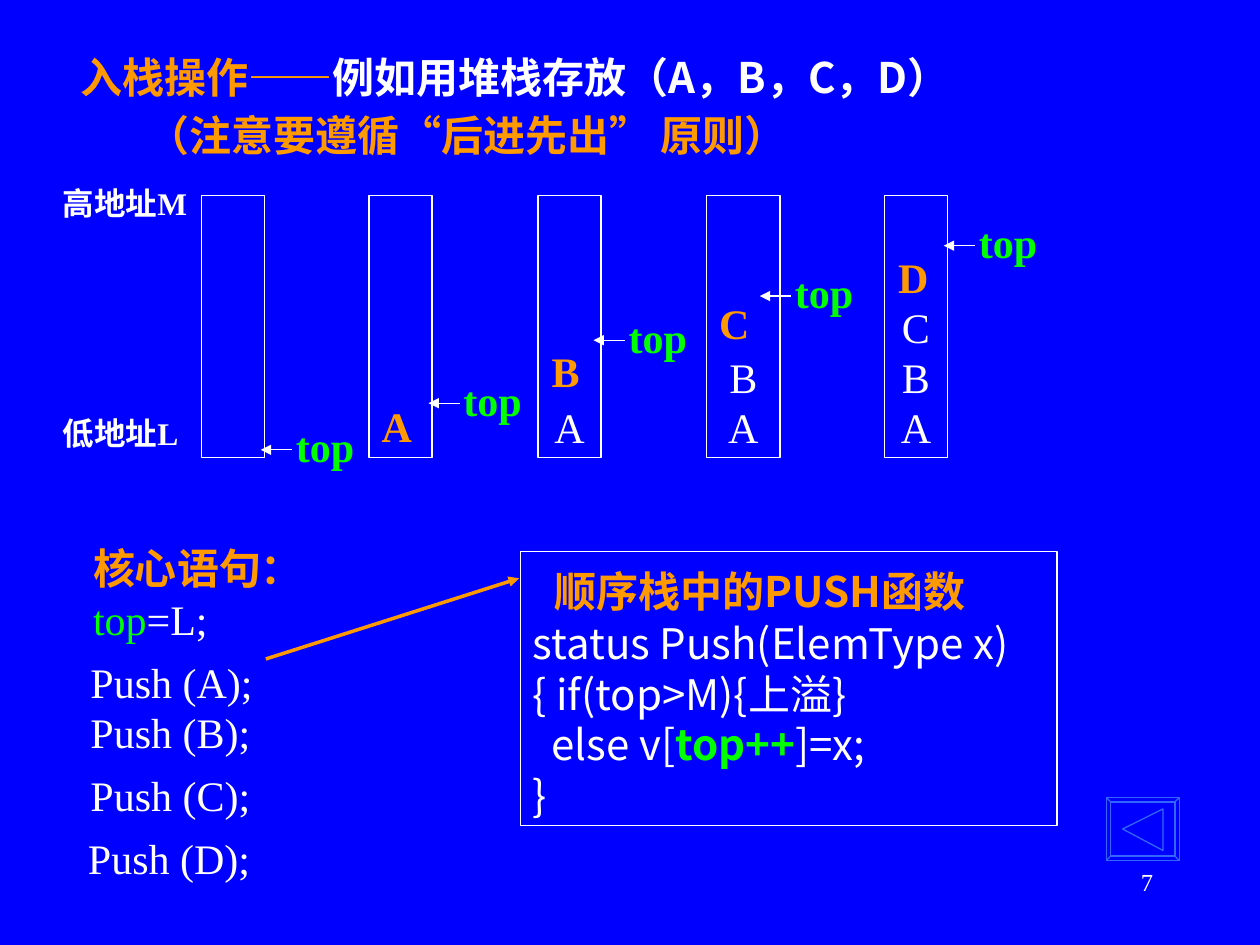
import pptx
import pptx.util
import pptx.dml.color
import pptx.enum.shapes
import pptx.enum.text
import pptx.oxml.ns
import lxml.etree

Inches = pptx.util.Inches
Pt = pptx.util.Pt
SHAPE = pptx.enum.shapes.MSO_SHAPE
ALIGN = pptx.enum.text.PP_ALIGN
ANCHOR = pptx.enum.text.MSO_ANCHOR
qn = pptx.oxml.ns.qn
rgb = pptx.dml.color.RGBColor.from_string

theme = {
    "background": "0000FF", "white": "FFFFFF", "orange": "FF9900",
    "green": "00FF00", "button": "3366FF",
    "serif": "Times New Roman", "sans": "Noto Sans CJK SC",
    "body": 24, "label": 18, "number": 14, "thin": 0.74, "thick": 2,
}

deck = pptx.Presentation()
deck.slide_width, deck.slide_height = Inches(10), Inches(7.5)
slide = deck.slides.add_slide(deck.slide_layouts[6])
slide.background.fill.solid()
slide.background.fill.fore_color.rgb = rgb(theme["background"])


def write(paragraphs, at=None, host=None, size=theme["body"], font=theme["serif"],
          color="white", bold=False, align=ALIGN.LEFT, anchor=ANCHOR.TOP,
          top=0.05, bottom=0.05, wrap=False, indents=(), before=0, after=0):
    host = host or slide.shapes.add_textbox(*map(Inches, at))
    frame = host.text_frame
    frame.word_wrap = wrap
    frame.vertical_anchor = anchor
    frame.margin_left = frame.margin_right = Inches(0.1)
    frame.margin_top, frame.margin_bottom = Inches(top), Inches(bottom)
    if isinstance(paragraphs, str):
        paragraphs = [[(paragraphs, color, bold)]]
    for index, runs in enumerate(paragraphs):
        paragraph = frame.paragraphs[0] if index == 0 else frame.add_paragraph()
        paragraph.alignment = align
        paragraph.line_spacing = Pt(size * 1.2)
        paragraph.space_before = Pt(before if index else 0)
        paragraph.space_after = Pt(0 if index else after)
        if index < len(indents):
            paragraph._p.get_or_add_pPr().set("marL", str(Inches(indents[index])))
        for words, run_color, run_bold in runs:
            run = paragraph.add_run()
            run.text = words
            run.font.name = font
            run.font.size = Pt(size)
            run.font.bold = run_bold
            run.font.color.rgb = rgb(theme[run_color])
            east_asian = lxml.etree.SubElement(run._r.get_or_add_rPr(), qn("a:ea"))
            east_asian.set("typeface", theme["sans"])


def draw(kind, at, color="white", width=theme["thin"]):
    if kind == "arrow":
        item = slide.shapes.add_connector(
            pptx.enum.shapes.MSO_CONNECTOR.STRAIGHT, *map(Inches, at))
        line = item.line._get_or_add_ln()
    else:
        item = slide.shapes.add_shape(kind, *map(Inches, at))
        item.shadow.inherit = False
        item.fill.background()
    item.line.color.rgb = rgb(theme[color])
    item.line.width = Pt(width)
    if kind == "arrow":
        lxml.etree.SubElement(line, qn("a:tailEnd")).set("type", "triangle")
        lxml.etree.SubElement(item._element.spPr, qn("a:effectLst"))
    return item


write([[("入栈操作——", "orange", True), ("例如用堆栈存放（A，B，C，D）", "white", True)],
       [("（注意要遵循“后进先出” 原则）", "orange", True)]],
      at=(0.54, 0.35, 8.71, 1), font=theme["sans"], top=0.06, wrap=True,
      indents=(0, 0.53), before=4.3)

stacks = [
    (1.6, 0.5, "", None, None, (2.07, 3.57)),
    (2.93, 0.5, "", "A", (2.93, 3.13), (3.4, 3.2)),
    (4.27, 0.5, "A", "B", (4.28, 2.69), (4.71, 2.7)),
    (5.61, 0.58, "BA", "C", (5.61, 2.31), (6.03, 2.35)),
    (7.02, 0.5, "CBA", "D", (7.03, 1.95), (7.49, 1.95)),
]
for left, width, stored, pushed, pushed_at, (tip_x, tip_y) in stacks:
    stack = draw(SHAPE.RECTANGLE, (left, 1.55, width, 2.08))
    if stored:
        write([[(element, "white", False)] for element in stored], host=stack,
              align=ALIGN.CENTER, anchor=ANCHOR.BOTTOM, bottom=0.04)
    if pushed:
        write(pushed, at=(*pushed_at, 0.44, 0.5), color="orange", bold=True)
    draw("arrow", (tip_x + 0.25, tip_y, tip_x, tip_y))
    write("top", at=(tip_x + 0.18, tip_y - 0.28, 0.68, 0.5), color="green", bold=True)

for address, y in [("高地址M", 1.41), ("低地址L", 3.24)]:
    write(address, at=(0.4, y, 1.4, 0.4), size=theme["label"], bold=True, wrap=True)

write([[("核心语句：", "orange", True)],
       [("top", "green", False), ("=L;", "white", False)]],
      at=(0.64, 4.26, 2.24, 0.9), wrap=True)

for element, x, y in [("A", 0.62, 5.16), ("B", 0.62, 5.56),
                      ("C", 0.62, 6.06), ("D", 0.6, 6.56)]:
    write(f"Push ({element});", at=(x, y, 1.7, 0.5), wrap=True)

push_function = draw(SHAPE.RECTANGLE, (4.13, 4.38, 4.26, 2.17))
write([[("顺序栈中的PUSH函数", "orange", True)],
       [("status Push(ElemType x)", "white", False)],
       [("{ if(top>M){上溢}", "white", False)],
       [("else v[", "white", False), ("top++", "green", True), ("]=x;", "white", False)],
       [("}", "white", False)]],
      host=push_function, font=theme["sans"], top=0.11, bottom=0, wrap=True,
      indents=(0.17, 0, 0, 0.15), after=1)
draw("arrow", (2.11, 5.23, 4.12, 4.59), color="orange", width=theme["thick"])

back_button = draw(SHAPE.BEVEL, (8.78, 6.33, 0.58, 0.5), color="button")
back_button.adjustments[0] = 0.07
outline = slide.shapes.build_freeform(Inches(9.23), Inches(6.42))
outline.add_line_segments([(Inches(8.91), Inches(6.58)), (Inches(9.23), Inches(6.75))])
back_triangle = outline.convert_to_shape()
back_triangle.shadow.inherit = False
back_triangle.fill.background()
back_triangle.line.color.rgb = rgb(theme["button"])
back_triangle.line.width = Pt(theme["thin"])

write("7", at=(7.17, 6.83, 2.08, 0.5), size=theme["number"], align=ALIGN.RIGHT, wrap=True)

deck.save("out.pptx")
